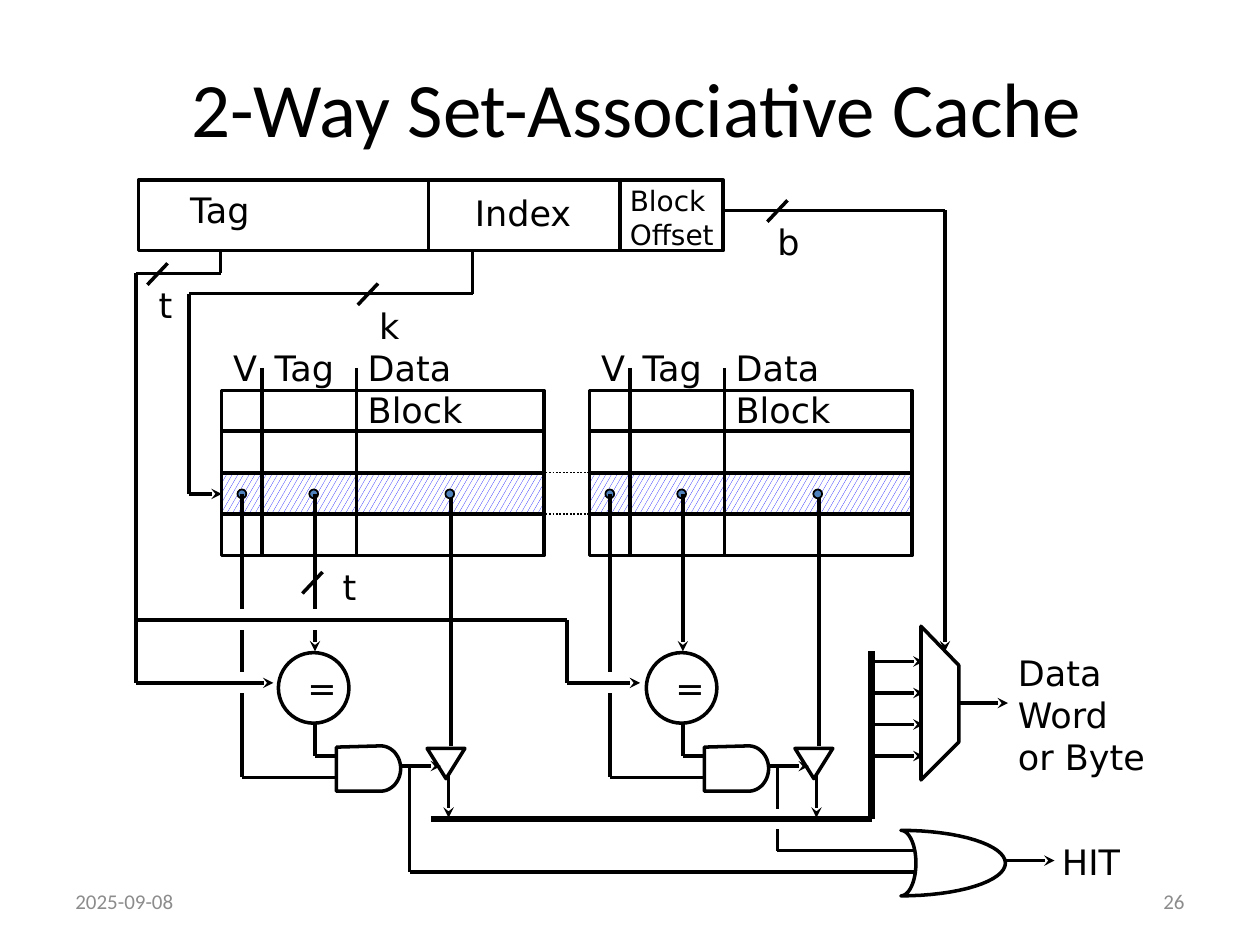
import math

from pptx import Presentation
from pptx import util as u
from pptx.dml.color import RGBColor
from pptx.enum import dml, shapes, text
from pptx.oxml.ns import qn
from lxml import etree

BLACK = RGBColor(0x00, 0x00, 0x00)
WHITE = RGBColor(0xFF, 0xFF, 0xFF)
GRAY = RGBColor(0x8C, 0x8C, 0x8C)
HATCH_BLUE = RGBColor(0x00, 0x00, 0xFF)
DOT_BLUE = RGBColor(0x4F, 0x81, 0xBD)

SPACE = 0.09  # width of one blank in label text
WAY_PITCH = 2.92
SELECTED_Y = 3.92


def half_ellipse(x, y, rx, ry, steps=32):
    """Points of the right half of an ellipse, from top to bottom."""
    angles = [math.pi * i / steps - math.pi / 2 for i in range(steps + 1)]
    return [(x + rx * math.cos(a), y + ry * math.sin(a)) for a in angles]


class Diagram:
    label_font = "DejaVu Sans"
    heading_font = "Calibri"

    def __init__(self, slide):
        self.slide = slide

    def style_run(self, run, size, font, color=BLACK):
        run.font.size = u.Pt(size)
        run.font.name = font
        run.font.color.rgb = color

    def title(self, wording, left, top, width, height):
        shape = self.slide.shapes.title
        shape.left, shape.top = u.Inches(left), u.Inches(top)
        shape.width, shape.height = u.Inches(width), u.Inches(height)
        shape.text_frame.vertical_anchor = text.MSO_ANCHOR.MIDDLE
        paragraph = shape.text_frame.paragraphs[0]
        paragraph.alignment = text.PP_ALIGN.CENTER
        self.style_run(self.add_run(paragraph, wording), 44, self.heading_font)

    def add_run(self, paragraph, wording):
        run = paragraph.add_run()
        run.text = wording
        return run

    def label(self, lines, left, top, width, height=0.44, size=20, indent=0,
              wrap=False, font=label_font, color=BLACK, align=text.PP_ALIGN.LEFT,
              anchor=text.MSO_ANCHOR.TOP):
        box = self.slide.shapes.add_textbox(
            u.Inches(left), u.Inches(top), u.Inches(width), u.Inches(height))
        frame = box.text_frame
        frame.word_wrap = wrap
        frame.vertical_anchor = anchor
        frame.margin_left = u.Inches(0.1 + indent)
        for i, line in enumerate(lines.split("\n")):
            paragraph = frame.add_paragraph() if i else frame.paragraphs[0]
            paragraph.alignment = align
            self.style_run(self.add_run(paragraph, line), size, font, color)

    def outline(self, shape, fill, weight):
        shape.shadow.inherit = False
        if fill is None:
            shape.fill.background()
        else:
            shape.fill.solid()
            shape.fill.fore_color.rgb = fill
        shape.line.color.rgb = BLACK
        shape.line.width = u.Pt(weight)
        return shape

    def preset(self, kind, left, top, width, height, fill=None, weight=2):
        shape = self.slide.shapes.add_shape(
            kind, u.Inches(left), u.Inches(top), u.Inches(width), u.Inches(height))
        return self.outline(shape, fill, weight)

    def box(self, left, top, width, height, weight=2):
        return self.preset(shapes.MSO_SHAPE.RECTANGLE, left, top, width, height,
                           weight=weight)

    def circle(self, x, y, diameter, fill, weight=2):
        return self.preset(shapes.MSO_SHAPE.OVAL, x - diameter / 2,
                           y - diameter / 2, diameter, diameter, fill, weight)

    def polygon(self, points, fill=None):
        corners = [(u.Inches(x), u.Inches(y)) for x, y in points]
        builder = self.slide.shapes.build_freeform(*corners[0], scale=1.0)
        builder.add_line_segments(corners[1:], close=True)
        return self.outline(builder.convert_to_shape(), fill, 2)

    def wire(self, *points, arrow=False, weight=2, dotted=False):
        """Straight segments through the points; returns the last one."""
        for start, end in zip(points, points[1:]):
            connector = self.slide.shapes.add_connector(
                shapes.MSO_CONNECTOR.STRAIGHT,
                *(u.Inches(value) for value in start + end))
            connector.line.color.rgb = BLACK
            connector.line.width = u.Pt(weight)
            if dotted:
                connector.line.dash_style = dml.MSO_LINE.ROUND_DOT
            properties = connector._element.spPr
            etree.SubElement(properties, qn("a:effectLst"))
        if arrow:
            line = properties.find(qn("a:ln"))
            etree.SubElement(line, qn("a:tailEnd"), type="stealth")
        return connector

    def bus_slash(self, x, y):
        self.wire((x + 0.08, y - 0.08), (x - 0.08, y + 0.09))

    def cache_way(self, x):
        """One way: table, comparator, AND gate and output buffer."""
        # Table with the selected row
        row = self.box(x + 0.01, 3.76, 2.57, 0.32, weight=1)
        row.fill.patterned()
        row.fill.pattern = dml.MSO_PATTERN.LARGE_CONFETTI
        row.fill.fore_color.rgb = HATCH_BLUE
        row.fill.back_color.rgb = WHITE
        self.box(x + 0.01, 3.1, 2.56, 1.31)
        for y in (3.42, 3.75, 4.08):
            self.wire((x, y), (x + 2.58, y))
        for divider in (0.33, 1.08):
            self.wire((x + divider, 2.92), (x + divider, 4.42))
        self.label("V", x - 0.18, 2.7, 0.59, indent=2 * SPACE)
        self.label("Tag", x + 0.15, 2.7, 0.91, indent=2 * SPACE)
        self.label("Data Block", x + 1.07, 2.7, 1.65, wrap=True)

        # Comparator, AND gate and buffer
        self.circle(x + 0.74, 5.46, 0.56, WHITE)
        self.label("=", x + 0.5, 5.24, 0.53, indent=SPACE)
        self.polygon([(x + 0.92, 5.93), *half_ellipse(x + 1.27, 6.1, 0.16, 0.18),
                      (x + 0.92, 6.28)])
        self.preset(shapes.MSO_SHAPE.FLOWCHART_MERGE, x + 1.64, 5.94, 0.3, 0.24)

        # Wires around them
        self.wire((x + 0.17, 5.5), (x + 0.17, 6.17), (x + 0.92, 6.17))
        self.wire((x + 0.75, 5.74), (x + 0.75, 6), (x + 0.92, 6))
        self.wire((x + 1.42, 6.08), (x + 1.75, 6.08), arrow=True)
        self.wire((x + 1.83, SELECTED_Y), (x + 1.83, 5.92))
        self.wire((x + 1.81, 6.16), (x + 1.81, 6.49), arrow=True)
        for dot in (0.17, 0.74, 1.82):
            self.circle(x + dot, SELECTED_Y, 0.07, DOT_BLUE, weight=1)
        return row


def main():
    presentation = Presentation()
    presentation.slide_width, presentation.slide_height = u.Inches(10), u.Inches(7.5)
    slide = presentation.slides.add_slide(presentation.slide_layouts[5])
    diagram = Diagram(slide)

    # Title and footer
    diagram.title("2-Way Set-Associative Cache", 0.34, 0.38, 9.43, 0.94)
    footer = dict(size=12, font=Diagram.heading_font, color=GRAY, wrap=True,
                  anchor=text.MSO_ANCHOR.MIDDLE)
    diagram.label("2025-09-08", 0.5, 6.95, 2.33, 0.4, **footer)
    diagram.label("26", 7.17, 6.95, 2.33, 0.4, align=text.PP_ALIGN.RIGHT, **footer)

    # Address fields
    diagram.box(1.1, 1.43, 4.64, 0.56)
    for x in (3.4, 4.92):
        diagram.wire((x, 1.43), (x, 2))
    diagram.label("Tag", 1.23, 1.45, 0.91, indent=2 * SPACE)
    diagram.label("Index", 3.67, 1.47, 1)
    diagram.label("Block\nOffset", 4.9, 1.41, 0.88, 0.64, size=16)

    # Two ways, joined along the selected row
    first, second = 1.75, 1.75 + WAY_PITCH
    selected_row = diagram.cache_way(first)
    diagram.cache_way(second)
    for y in (3.75, 4.08):
        diagram.wire((4.33, y), (second, y), dotted=True, weight=1)

    # Valid and tag outputs, broken where they cross the tag bus
    for x, ends in ((first, (4.83, 5)), (second, ())):
        for offset, stop in ((0.17, 5.33), (0.75, 5.17)):
            heights = (SELECTED_Y, *ends, stop)
            for top, bottom in zip(heights[::2], heights[1::2]):
                diagram.wire((x + offset, top), (x + offset, bottom),
                             arrow=offset == 0.75 and bottom == stop)

    # Index and tag buses
    index_arrow = diagram.wire((3.75, 2), (3.75, 2.33), (1.5, 2.33),
                               (1.5, SELECTED_Y), (1.75, SELECTED_Y), arrow=True)
    index_arrow.end_connect(selected_row, 1)
    diagram.wire((1.75, 2), (1.75, 2.17), (1.08, 2.17), (1.08, 5.42),
                 (2.17, 5.42), arrow=True)
    diagram.wire((1.08, 4.92), (4.5, 4.92), (4.5, 5.42), (5.08, 5.42), arrow=True)

    # Data bus, multiplexer and block offset
    diagram.wire((3.42, 6.5), (6.92, 6.5), (6.92, 5.17), weight=4)
    for i in range(4):
        diagram.wire((6.92, 5.25 + i / 4), (7.33, 5.25 + i / 4), arrow=True)
    diagram.polygon([(7.31, 4.97), (7.61, 5.28), (7.61, 5.89), (7.31, 6.19)], WHITE)
    diagram.wire((7.61, 5.58), (8, 5.58), arrow=True)
    diagram.wire((5.75, 1.67), (7.5, 1.67), (7.5, 5.17), arrow=True)
    diagram.label("Data\nWord\nor Byte", 7.98, 5.12, 1.22, 1.12)

    # Hit logic with OR gate
    diagram.wire((3.25, 6.08), (3.25, 6.92), (7.25, 6.92))
    diagram.wire((6.17, 6.08), (6.17, 6.42))
    diagram.wire((6.17, 6.58), (6.17, 6.75), (7.25, 6.75))
    diagram.polygon(half_ellipse(7.15, 6.85, 0.83, 0.26)
                    + half_ellipse(7.15, 6.85, 0.12, 0.26)[::-1])
    diagram.wire((7.97, 6.83), (8.37, 6.83), arrow=True)
    diagram.label("HIT", 8.33, 6.62, 0.7)

    # Bus widths
    for x, y in ((1.25, 2.17), (2.92, 2.33), (6.17, 1.67), (2.48, 4.62)):
        diagram.bus_slash(x, y)
    for name, x, y in (("t", 1.07, 2.2), ("k", 2.82, 2.37), ("b", 5.98, 1.7),
                       ("t", 2.53, 4.44)):
        diagram.label(name, x, y, 0.44, indent=SPACE)

    presentation.save("out.pptx")


if __name__ == "__main__":
    main()
